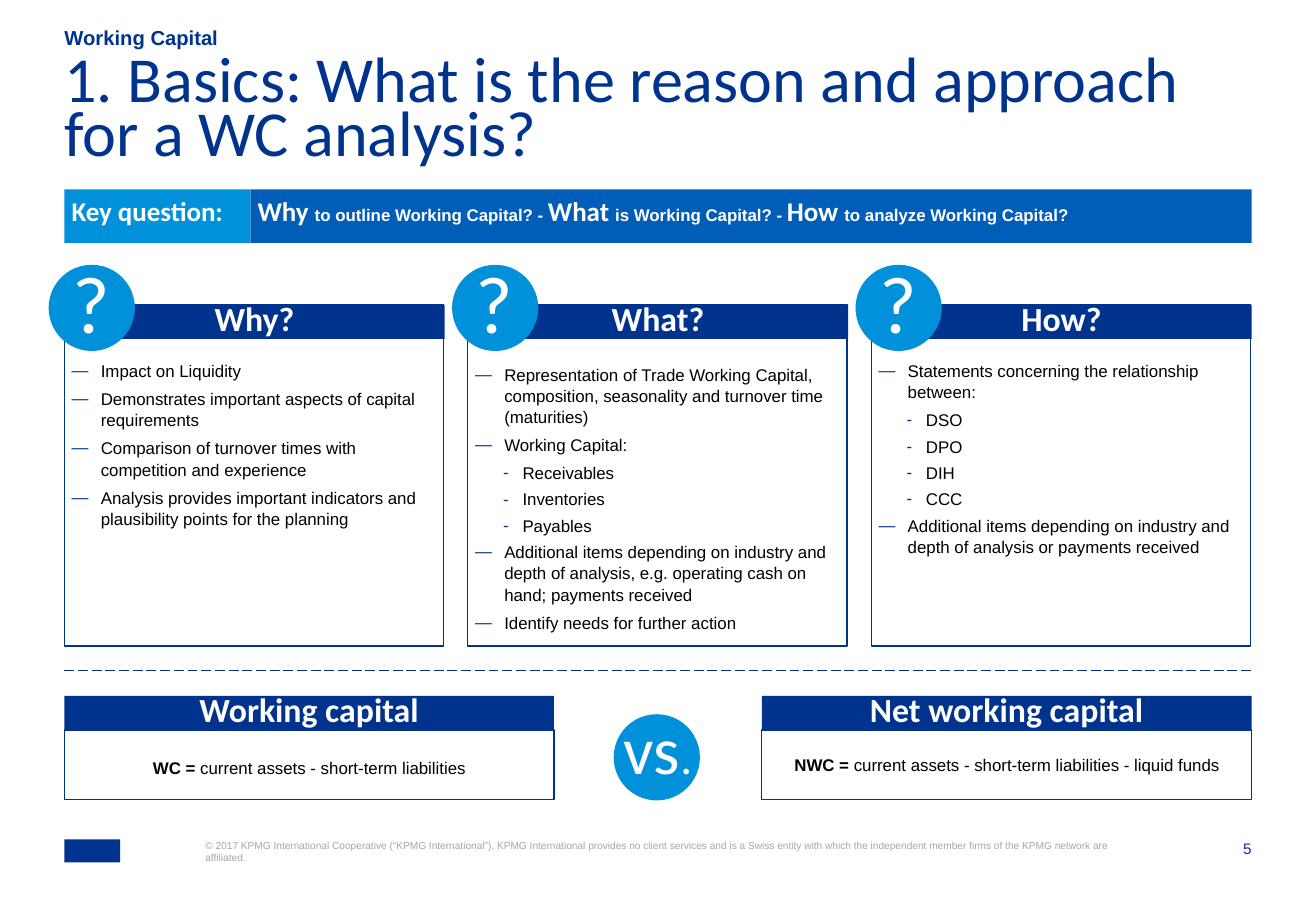
from lxml.etree import SubElement
from pptx import Presentation
from pptx.dml.color import RGBColor
from pptx.enum.dml import MSO_LINE
from pptx.enum.shapes import MSO_CONNECTOR, MSO_SHAPE
from pptx.enum.text import MSO_ANCHOR, MSO_AUTO_SIZE, PP_ALIGN
from pptx.oxml.ns import qn
from pptx.util import Inches, Pt

COLORS = {"navy": "00338D", "blue": "005EB8", "sky": "0091DA",
          "white": "FFFFFF", "black": "000000", "gray": "A6A6A6"}
LEFT, RIGHT = 0.53, 10.3
HEADER_HEIGHT = 0.28
PADDING = (0.06, 0.06, 0.06, 0.06)
NO_PADDING = (0, 0, 0, 0)

# Heading, space above the list, items; a tuple holds sub-items
COLUMNS = [
    ("Why?", 0.45, [
        "Impact on Liquidity",
        "Demonstrates important aspects of capital requirements",
        "Comparison of turnover times with competition and experience",
        "Analysis provides important indicators and plausibility points for the planning",
    ]),
    ("What?", 0.48, [
        "Representation of Trade Working Capital, composition, seasonality and turnover time (maturities)",
        "Working Capital:",
        ("Receivables", "Inventories", "Payables"),
        "Additional items depending on industry and depth of analysis, e.g. operating cash on hand; payments received",
        "Identify needs for further action",
    ]),
    ("How?", 0.45, [
        "Statements concerning the relationship between:",
        ("DSO", "DPO", "DIH", "CCC"),
        "Additional items depending on industry and depth of analysis or payments received",
    ]),
]

# Heading, left, bold term, formula
DEFINITIONS = [
    ("Working capital", LEFT, "WC = ", "current assets - short-term liabilities", 0.23,
     MSO_ANCHOR.TOP),
    ("Net working capital", 6.27, "NWC = ",
     "current assets - short-term liabilities - liquid funds", 0.06, MSO_ANCHOR.MIDDLE),
]
COPYRIGHT = ("© 2017 KPMG International Cooperative (“KPMG International”). KPMG International "
             "provides no client services and is a Swiss entity with which the independent "
             "member firms of the KPMG network are affiliated.")


def rgb(name):
    return RGBColor.from_string(COLORS[name])


def place(box, left, top, width, height):
    box.left, box.top = Inches(left), Inches(top)
    box.width, box.height = Inches(width), Inches(height)


def set_bullet(para, character=None, margin=0, hang=0):
    properties = para._p.get_or_add_pPr()
    properties.set("marL", str(Inches(margin)))
    properties.set("indent", str(-Inches(hang)))
    if character is None:
        SubElement(properties, qn("a:buNone"))
        return
    color = SubElement(properties, qn("a:buClr"))
    SubElement(color, qn("a:srgbClr")).set("val", COLORS["navy"])
    SubElement(properties, qn("a:buFont")).set("typeface", "Arial")
    SubElement(properties, qn("a:buChar")).set("char", character)


def frame_text(box, insets=PADDING, anchor=MSO_ANCHOR.TOP, wrap=True):
    frame = box.text_frame
    frame.auto_size = MSO_AUTO_SIZE.NONE
    frame.word_wrap = wrap
    frame.vertical_anchor = anchor
    (frame.margin_left, frame.margin_top,
     frame.margin_right, frame.margin_bottom) = map(Inches, insets)
    return frame


def write(para, text, size=10, font="Arial", color="black", bold=False,
          align=PP_ALIGN.LEFT, spacing=1.0, after=0):
    """Add one formatted run to a paragraph."""
    para.alignment = align
    para.line_spacing = spacing
    para.space_before, para.space_after = Pt(0), Pt(after)
    span = para.add_run()
    span.text = text
    span.font.size, span.font.name, span.font.bold = Pt(size), font, bold
    span.font.color.rgb = rgb(color)


def add_box(page, area, kind=MSO_SHAPE.RECTANGLE, fill=None, line=None):
    box = page.shapes.add_shape(kind, *map(Inches, area))
    box.shadow.inherit = False
    if fill:
        box.fill.solid()
        box.fill.fore_color.rgb = rgb(fill)
    else:
        box.fill.background()
    if line:
        box.line.color.rgb = rgb(line)
        box.line.width = Pt(0.75)
    else:
        box.line.fill.background()
    return box


def add_label(page, area, text, insets=NO_PADDING, **style):
    box = page.shapes.add_textbox(*map(Inches, area))
    para = frame_text(box, insets).paragraphs[0]
    write(para, text, **style)
    return box


def add_header(page, left, top, width, text):
    box = add_box(page, (left, top, width, HEADER_HEIGHT), fill="navy")
    frame = frame_text(box, (0.06, 0.06, 0.06, 0.13), MSO_ANCHOR.MIDDLE)
    write(frame.paragraphs[0], text, size=20, font="Calibri", color="white",
          bold=True, align=PP_ALIGN.CENTER)


def add_circle(page, left, top):
    add_box(page, (left, top, 0.71, 0.71), MSO_SHAPE.OVAL, fill="sky")


def add_column(page, left, heading, space_above, items):
    top, width = 2.51, 3.12
    box = add_box(page, (left, top, width, 2.81), line="navy")
    frame = frame_text(box, (0.06, space_above, 0.06, 0.06))
    rows = []
    for item in items:
        if isinstance(item, tuple):
            rows += [(text, "-", 0.39, 0.16, 3) for text in item]
        else:
            rows.append((item, "—", 0.24, 0.24, 4))
    for index, (text, bullet, margin, hang, after) in enumerate(rows):
        para = frame.add_paragraph() if index else frame.paragraphs[0]
        set_bullet(para, bullet, margin, hang)
        write(para, text, spacing=1.05, after=after)
    add_header(page, left, top, width + 0.01, heading)
    add_circle(page, left - 0.13, 2.18)
    add_label(page, (left - 0.22, 2.02, 0.88, 0.78), "?", insets=PADDING, size=48,
              font="Calibri", color="white", align=PP_ALIGN.CENTER)


def add_definition(page, heading, left, term, formula, space_above, anchor):
    add_header(page, left, 5.73, 4.03, heading)
    box = add_box(page, (left, 6.01, 4.03, 0.57), line="navy")
    para = frame_text(box, (0.06, space_above, 0.06, 0.06), anchor).paragraphs[0]
    write(para, term, bold=True, align=PP_ALIGN.CENTER)
    write(para, formula, align=PP_ALIGN.CENTER)


def add_titles(page):
    title, kicker = page.placeholders
    place(title, LEFT, 0.49, 9.75, 0.79)
    write(frame_text(title, NO_PADDING).paragraphs[0],
          "1. Basics: What is the reason and approach for a WC analysis?",
          size=38, font="Calibri", color="navy", spacing=0.7)
    place(kicker, LEFT, 0.22, 9.75, 0.19)
    para = frame_text(kicker, NO_PADDING, MSO_ANCHOR.BOTTOM).paragraphs[0]
    set_bullet(para)
    write(para, "Working Capital", size=12, color="navy", bold=True)


def add_key_question(page):
    large = {"size": 16, "font": "Calibri"}
    bands = [
        ((LEFT, 1.56, 1.53, 0.44), "sky", [("Key question:", large)]),
        ((2.06, 1.56, 8.24, 0.44), "blue", [
            ("Why ", large), ("to outline Working Capital? - ", {}),
            ("What ", large), ("is Working Capital? - ", {}),
            ("How ", large), ("to analyze Working Capital?", {})]),
    ]
    for area, fill, spans in bands:
        box = add_box(page, area, fill=fill)
        para = frame_text(box).paragraphs[0]
        for text, style in spans:
            write(para, text, color="white", bold=True, spacing=0.95, **style)


def add_divider(page):
    divider = page.shapes.add_connector(MSO_CONNECTOR.STRAIGHT, Inches(LEFT), Inches(5.52),
                                        Inches(RIGHT), Inches(5.52))
    divider.line.color.rgb = rgb("navy")
    divider.line.width = Pt(0.75)
    divider.line.dash_style = MSO_LINE.LONG_DASH
    SubElement(divider._element.spPr, qn("a:effectLst"))


def add_versus(page):
    add_circle(page, 5.05, 5.88)
    style = {"font": "Calibri", "color": "white", "align": PP_ALIGN.CENTER}
    box = add_label(page, (5.06, 5.8, 0.71, 0.71), "vs", size=40, **style)
    para = frame_text(box, anchor=MSO_ANCHOR.MIDDLE).paragraphs[0]
    write(para, ".", size=28, **style)


def add_footer(page):
    add_box(page, (LEFT, 6.91, 0.46, 0.19), fill="navy")
    add_label(page, (1.69, 6.91, 7.49, 0.41), COPYRIGHT, size=6, color="gray")
    add_label(page, (9.87, 6.91, 0.43, 0.16), "5", size=9, color="navy",
              align=PP_ALIGN.RIGHT)


def main():
    deck = Presentation()
    deck.slide_width, deck.slide_height = Inches(10.83), Inches(7.5)
    page = deck.slides.add_slide(deck.slide_layouts[1])
    add_titles(page)
    add_key_question(page)
    # Three question columns
    for index, column in enumerate(COLUMNS):
        add_column(page, LEFT + 3.32 * index, *column)
    # Comparison of the two definitions
    add_divider(page)
    for definition in DEFINITIONS:
        add_definition(page, *definition)
    add_versus(page)
    add_footer(page)
    deck.save("out.pptx")


if __name__ == "__main__":
    main()
